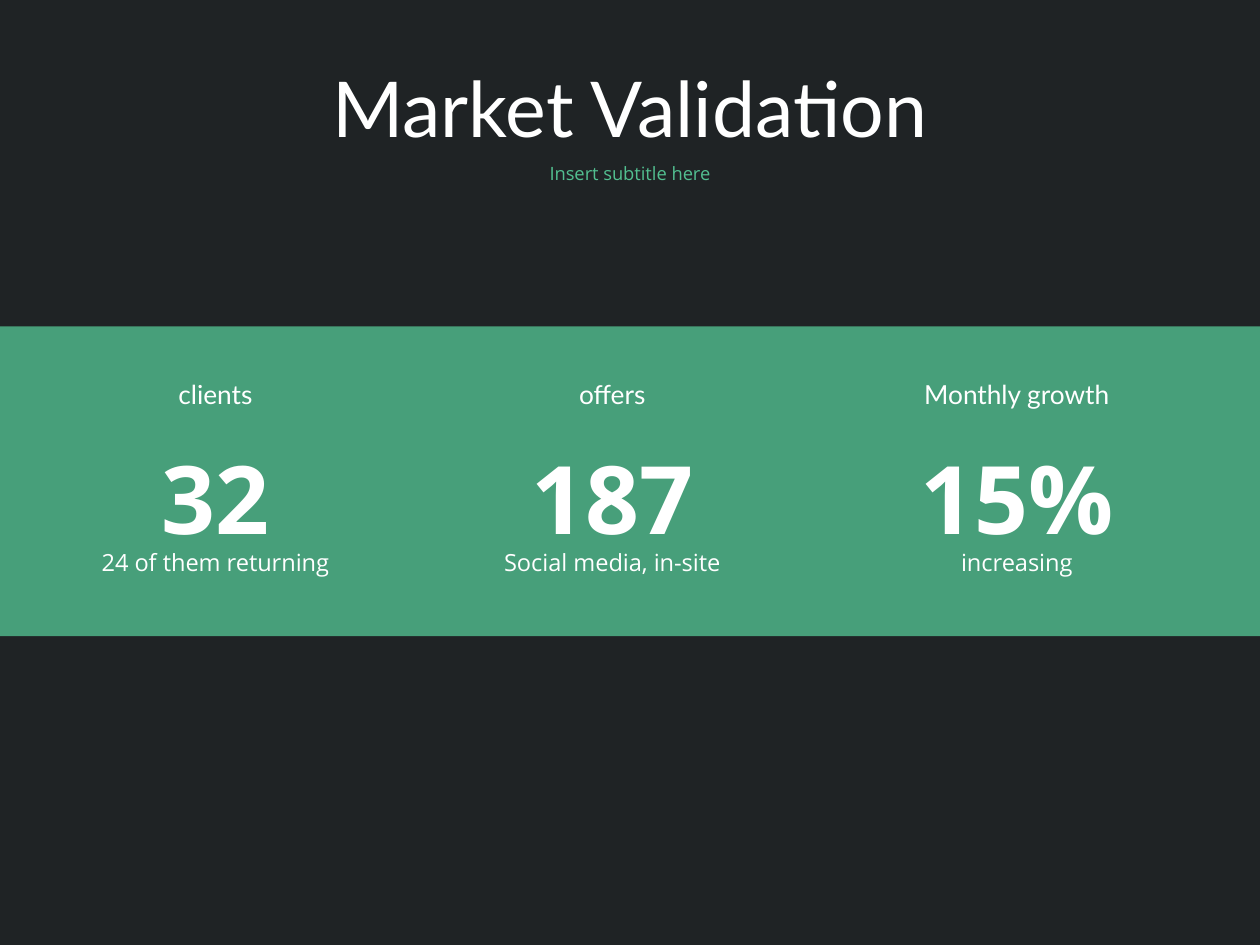
import pptx
import pptx.util
import pptx.dml.color
import pptx.enum.shapes
import pptx.enum.text
import pptx.oxml.ns
import lxml.etree

ANCHOR = pptx.enum.text.MSO_ANCHOR
FIT = pptx.enum.text.MSO_AUTO_SIZE
inch = pptx.util.Inches

prs = pptx.Presentation()
prs.slide_width, prs.slide_height = inch(10), inch(7.5)
s = prs.slides.add_slide(prs.slide_layouts[1])


def paint(fill, color, opacity=100):
    fill.solid()
    fill.fore_color.rgb = pptx.dml.color.RGBColor.from_string(color)
    if opacity < 100:
        clr = fill._xPr.find(".//" + pptx.oxml.ns.qn("a:srgbClr"))
        alpha = lxml.etree.SubElement(clr, pptx.oxml.ns.qn("a:alpha"))
        alpha.set("val", str(opacity * 1000))


def write(sp, text, size, font, color="FFFFFF", bold=False, spacing=1.0,
          anchor=ANCHOR.TOP, fit=FIT.NONE):
    tf = sp.text_frame
    tf.word_wrap, tf.auto_size, tf.vertical_anchor = True, fit, anchor
    p = tf.paragraphs[0]
    p.alignment, p.line_spacing = pptx.enum.text.PP_ALIGN.CENTER, spacing
    r = p.add_run()
    r.text = text
    r.font.size, r.font.name, r.font.bold = pptx.util.Pt(size), font, bold
    paint(r.font.fill, color)
    return p


# Background, dark veil and green band
paint(s.background.fill, "3F3F3F")
title, subtitle = s.shapes.title, s.placeholders[1]
for top, height, color, opacity in ((0, 7.5, "181E20", 82), (2.59, 2.46, "52BF90", 80)):
    sp = s.shapes.add_shape(pptx.enum.shapes.MSO_SHAPE.RECTANGLE,
                            0, inch(top), prs.slide_width, inch(height))
    sp.shadow.inherit = False
    sp.line.fill.background()
    paint(sp.fill, color, opacity)
    if top == 0:  # the veil lies behind the placeholders
        title._element.addprevious(sp._element)

# Title and subtitle
for sp, top, height in ((title, 0.4, 0.98), (subtitle, 1.26, 0.4)):
    sp.left, sp.top, sp.width, sp.height = inch(0.69), inch(top), inch(8.62), inch(height)
write(title, "Market Validation", 44, "Lato", spacing=0.9, anchor=ANCHOR.MIDDLE)
p = write(subtitle, "Insert subtitle here", 10.5, "Open Sans", "52BF90", spacing=0.9)
p.space_before = pptx.util.Pt(10)
pPr = p._p.get_or_add_pPr()
pPr.set("marL", "0")
pPr.set("indent", "0")
lxml.etree.SubElement(pPr, pptx.oxml.ns.qn("a:buNone"))

# Three figures, each centred on its column
columns = (
    (1.71, 2.5, "clients", "32", "24 of them returning"),
    (4.86, 2.5, "offers", "187", "Social media, in-site"),
    (8.07, 2.94, "Monthly growth", "15%", "increasing"),
)
for center, label_width, label, figure, note in columns:
    rows = (
        (note, 4.19, 2.2, 0.44, dict(size=13.5, font="Open Sans", spacing=1.5,
                                     fit=FIT.SHAPE_TO_FIT_TEXT)),
        (label, 2.94, label_width, 0.38, dict(size=15, font="Lato", anchor=ANCHOR.MIDDLE)),
        (figure, 2.99, 2.2, 1.46, dict(size=54, font="Open Sans", bold=True, spacing=1.5,
                                       fit=FIT.SHAPE_TO_FIT_TEXT)),
    )
    for text, top, width, height, style in rows:
        sp = s.shapes.add_textbox(inch(center - width / 2), inch(top),
                                  inch(width), inch(height))
        write(sp, text, **style)

prs.save("out.pptx")
